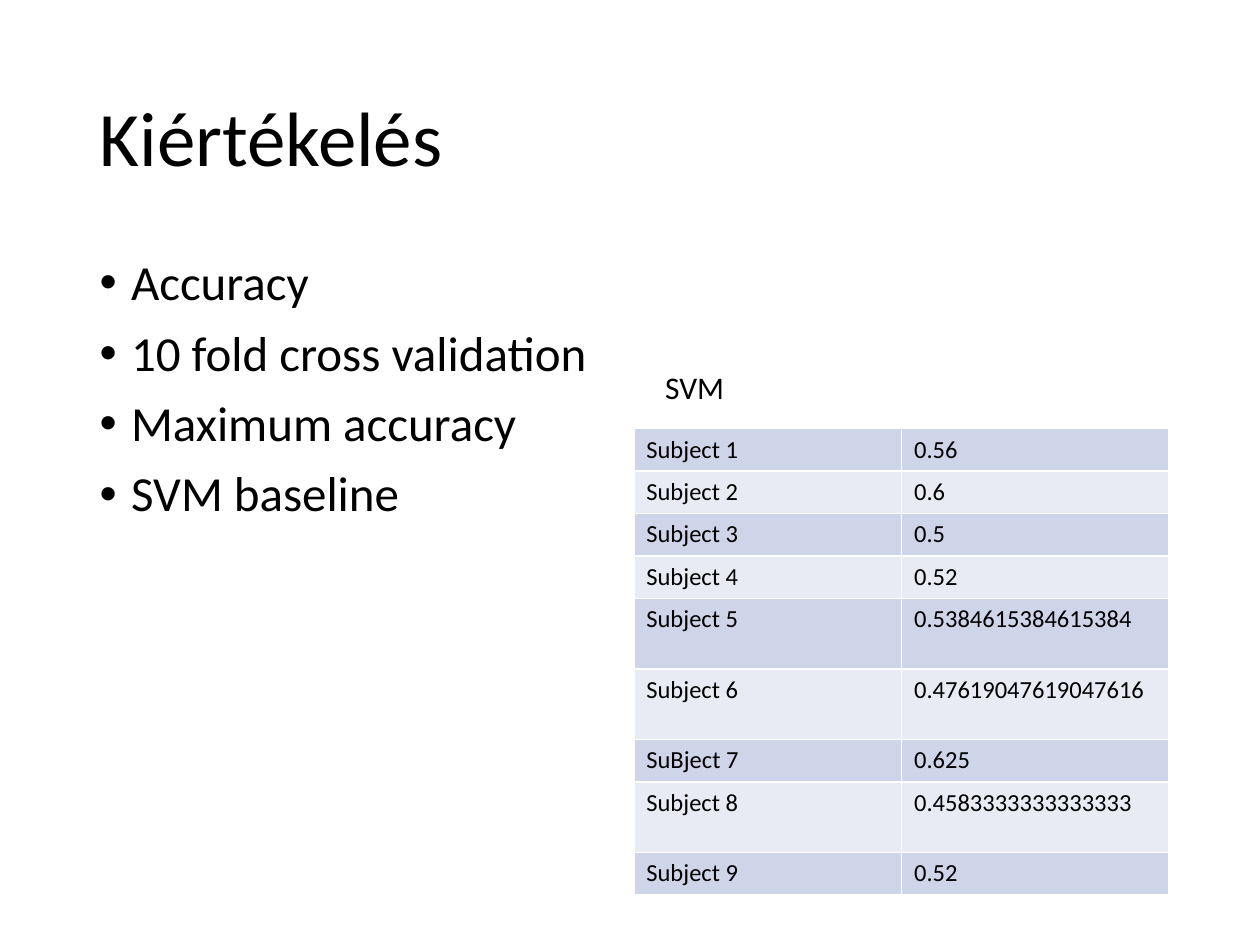
from lxml import etree
from pptx import Presentation
from pptx import util as u
from pptx.dml.color import RGBColor
from pptx.enum import text
from pptx.oxml import ns

BLACK = RGBColor(0, 0, 0)
WHITE = RGBColor(0xFF, 0xFF, 0xFF)
BANDS = (RGBColor(0xCF, 0xD5, 0xE9), RGBColor(0xE8, 0xEB, 0xF4))

GOALS = ["Accuracy", "10 fold cross validation", "Maximum accuracy", "SVM baseline"]
RESULTS = [
    ("Subject 1", "0.56"),
    ("Subject 2", "0.6"),
    ("Subject 3", "0.5"),
    ("Subject 4", "0.52"),
    ("Subject 5", "0.5384615384615384"),
    ("Subject 6", "0.47619047619047616"),
    ("SuBject 7", "0.625"),
    ("Subject 8", "0.4583333333333333"),
    ("Subject 9", "0.52"),
]
ROW_HEIGHT, TALL_ROW_HEIGHT = 0.335, 0.56
LONG_VALUE = 10  # characters beyond which a row is tall


def add_element(parent, tag, **attributes):
    return etree.SubElement(parent, ns.qn(tag), **attributes)


class SlideBuilder:
    def __init__(self, slide, font="Calibri", color=BLACK):
        self.slide, self.font, self.color = slide, font, color

    def place(self, shape, left, top, width, height):
        shape.left, shape.top = u.Inches(left), u.Inches(top)
        shape.width, shape.height = u.Inches(width), u.Inches(height)

    def format_runs(self, frame, size):
        for paragraph in frame.paragraphs:
            for run in paragraph.runs:
                run.font.name = self.font
                run.font.size = u.Pt(size)
                run.font.color.rgb = self.color

    def title(self, wording, *box):
        heading = self.slide.shapes.title
        self.place(heading, *box)
        frame = heading.text_frame
        frame.text = wording
        frame.auto_size = text.MSO_AUTO_SIZE.NONE
        frame.vertical_anchor = text.MSO_ANCHOR.MIDDLE
        frame.paragraphs[0].alignment = text.PP_ALIGN.LEFT
        frame.paragraphs[0].line_spacing = 0.9
        self.format_runs(frame, 44)

    def bullets(self, items, *box):
        body = self.slide.placeholders[1]
        self.place(body, *box)
        frame = body.text_frame
        frame.text = "\n".join(items)
        frame.auto_size = text.MSO_AUTO_SIZE.NONE
        for paragraph in frame.paragraphs:
            paragraph.line_spacing = 0.9
            paragraph.space_before = u.Pt(10)
            properties = paragraph._p.get_or_add_pPr()
            properties.set("marL", str(u.Inches(0.25)))
            properties.set("indent", str(-u.Inches(0.25)))
            add_element(properties, "a:buFont", typeface="Arial")
            add_element(properties, "a:buChar", char="•")
        self.format_runs(frame, 28)

    def label(self, wording, *box):
        caption = self.slide.shapes.add_textbox(*map(u.Inches, box))
        caption.text_frame.word_wrap = True
        caption.text_frame.text = wording
        self.format_runs(caption.text_frame, 18)

    def border(self, cell):
        properties = cell._tc.get_or_add_tcPr()
        for side in ("a:lnL", "a:lnR", "a:lnT", "a:lnB"):
            line = add_element(properties, side, w=str(u.Pt(0.96)))
            add_element(add_element(line, "a:solidFill"), "a:srgbClr", val=str(WHITE))

    def table(self, rows, left, top, width):
        heights = [TALL_ROW_HEIGHT if len(value) > LONG_VALUE else ROW_HEIGHT
                   for _, value in rows]
        box = map(u.Inches, (left, top, width, sum(heights)))
        table = self.slide.shapes.add_table(len(rows), len(rows[0]), *box).table
        table.first_row = False
        for r, (values, height) in enumerate(zip(rows, heights)):
            table.rows[r].height = u.Inches(height)
            for c, value in enumerate(values):
                cell = table.cell(r, c)
                cell.text_frame.text = value
                self.format_runs(cell.text_frame, 14)
                self.border(cell)
                cell.fill.solid()
                cell.fill.fore_color.rgb = BANDS[r % 2]


def main():
    deck = Presentation()
    deck.slide_width, deck.slide_height = u.Inches(10), u.Inches(7.5)
    builder = SlideBuilder(deck.slides.add_slide(deck.slide_layouts[1]))
    builder.title("Kiértékelés", 0.69, 0.4, 8.62, 1.45)
    builder.bullets(GOALS, 0.69, 2, 4.25, 4.76)
    builder.table(RESULTS, 5.03, 3.4, 4.25)
    builder.label("SVM", 5.18, 2.87, 3, 0.4)
    deck.save("out.pptx")


if __name__ == "__main__":
    main()
